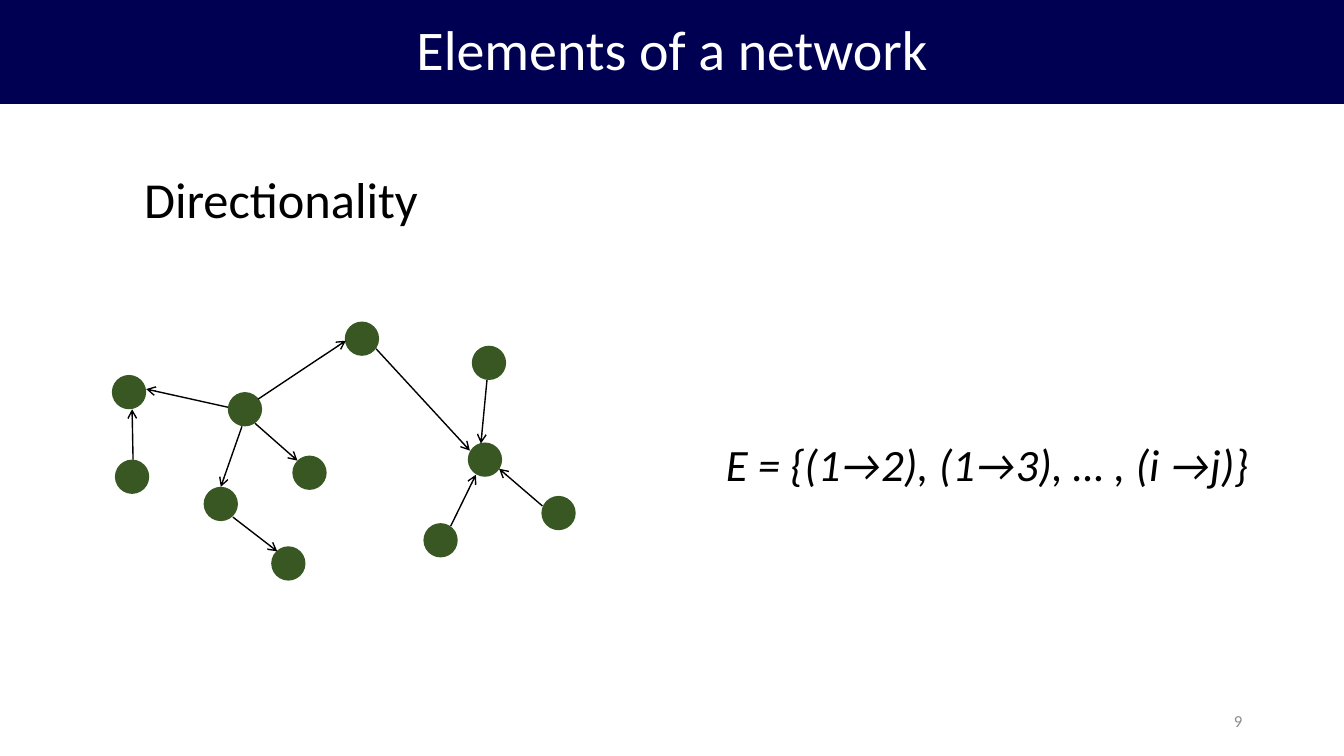
from lxml import etree
from pptx import Presentation, util as u
from pptx.dml.color import RGBColor
from pptx.enum import shapes, text
from pptx.oxml.ns import qn

WIDE, HIGH = 13.33, 7.5
DOT = 0.34
NAVY, GREEN, BLACK, WHITE, GREY = "000053", "385723", "000000", "FFFFFF", "8C8C8C"

TITLE = "Elements of a network"
LABELS = [
    ("Directionality", (1.33, 1.62, 2.95, 0.71), False, "LEFT", "TOP",
     dict(size=36, color=BLACK)),
    ("E = {(1→2), (1→3), … , (i →j)}", (7.1, 4.28, 5.55, 0.64), False, "LEFT", "TOP",
     dict(size=32, color=BLACK, italic=True)),
    ("9", (9.42, 6.95, 3, 0.4), True, "RIGHT", "MIDDLE",
     dict(size=12, color=GREY)),
]
NODES = [
    (2.02, 4.83), (2.69, 5.42), (4.2, 5.19), (4.64, 4.39),
    (2.26, 3.89), (1.11, 3.72), (1.14, 4.56), (2.9, 4.52),
    (3.42, 3.19), (4.68, 3.43), (5.37, 4.92),
]
ARROWS = [
    (2.26, 4.04, 1.45, 3.86), (1.32, 4.56, 1.31, 4.06),
    (2.4, 4.23, 2.19, 4.83), (2.53, 4.2, 2.95, 4.57),
    (2.56, 3.96, 3.43, 3.38), (2.31, 5.13, 2.75, 5.47),
    (3.73, 3.46, 4.66, 4.47), (4.47, 5.22, 4.72, 4.71),
    (4.83, 3.77, 4.77, 4.4), (5.38, 5.02, 4.95, 4.65),
]


def inch(vals):
    return [u.Inches(v) for v in vals]


def paint(fill, hue):
    fill.solid()
    fill.fore_color.rgb = RGBColor.from_string(hue)


def place(shape, box):
    for key, val in zip(("left", "top", "width", "height"), inch(box)):
        setattr(shape, key, val)


def write(shape, words, align, anchor, wrap, size, color, italic=False):
    frame = shape.text_frame
    frame.text = words
    frame.auto_size = text.MSO_AUTO_SIZE.NONE
    frame.word_wrap = wrap
    frame.vertical_anchor = text.MSO_ANCHOR[anchor]
    para = frame.paragraphs[0]
    para.alignment = text.PP_ALIGN[align]
    font = para.runs[0].font
    look = dict(name="Calibri", size=u.Pt(size), italic=italic)
    for key, val in look.items():
        setattr(font, key, val)
    paint(font.fill, color)
    return para


def arrow(slide, ends):
    line = slide.shapes.add_connector(shapes.MSO_CONNECTOR.STRAIGHT, *inch(ends))
    line.line.width = u.Pt(1)
    paint(line.line.fill, BLACK)
    props = line._element.spPr
    etree.SubElement(props.find(qn("a:ln")), qn("a:tailEnd"), type="arrow")
    etree.SubElement(props, qn("a:effectLst"))


def main():
    deck = Presentation()
    deck.slide_width, deck.slide_height = inch((WIDE, HIGH))
    slide = deck.slides.add_slide(deck.slide_layouts[5])

    title = slide.shapes.title
    place(title, (0, 0, WIDE, 1.03))
    paint(title.fill, NAVY)
    para = write(title, TITLE, "CENTER", "MIDDLE", True, 40, WHITE)
    para.line_spacing = 0.9

    for words, box, wrap, align, anchor, look in LABELS:
        label = slide.shapes.add_textbox(*inch(box))
        write(label, words, align, anchor, wrap, **look)

    for spot in NODES:
        dot = slide.shapes.add_shape(shapes.MSO_SHAPE.OVAL, *inch((*spot, DOT, DOT)))
        dot.shadow.inherit = False
        paint(dot.fill, GREEN)
        dot.line.fill.background()

    for ends in ARROWS:
        arrow(slide, ends)

    deck.save("out.pptx")


if __name__ == "__main__":
    main()
